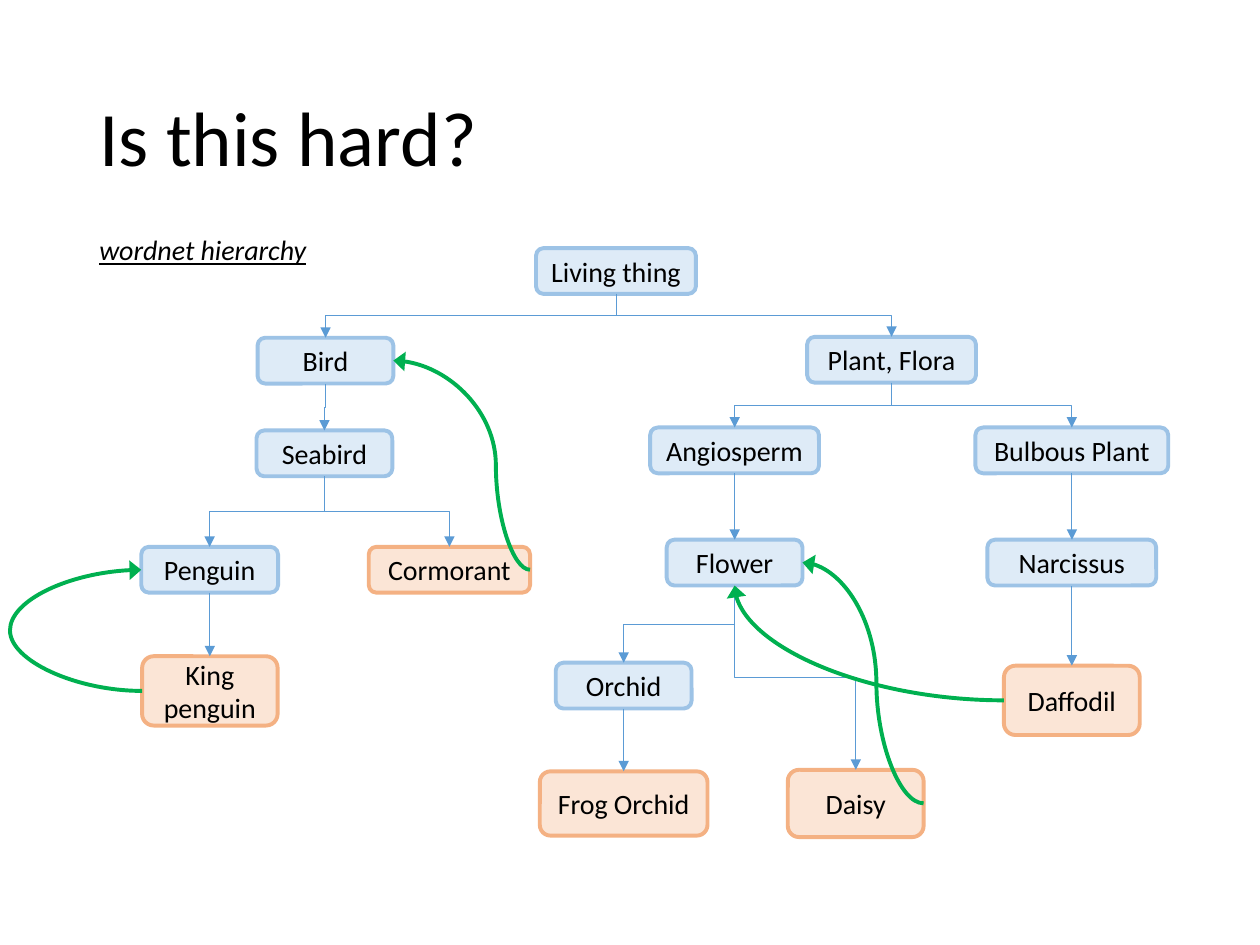
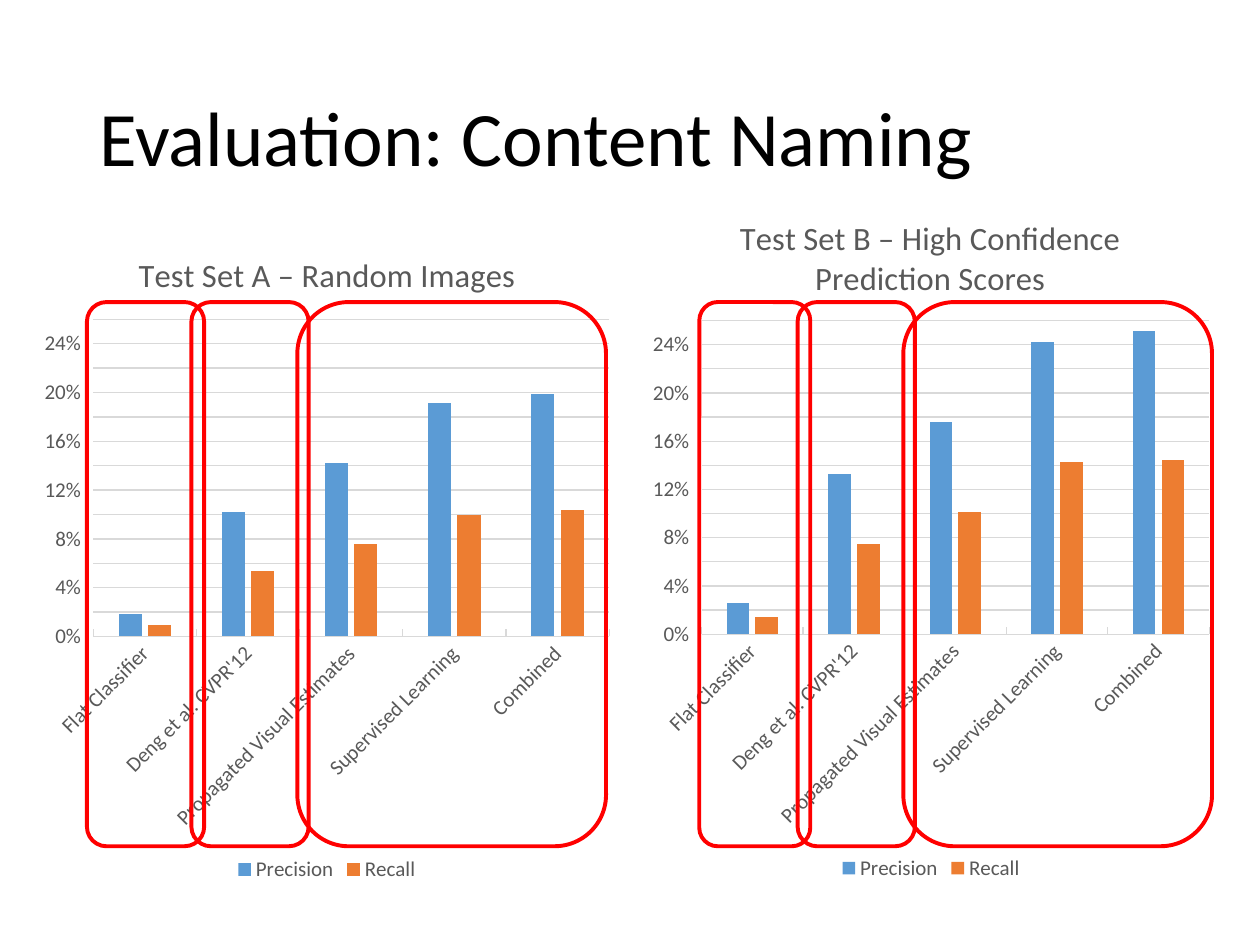
"""Build two slides: a word hierarchy tree and a pair of evaluation charts."""
from lxml import etree
from pptx import Presentation
from pptx.chart.data import CategoryChartData
from pptx.dml.color import RGBColor
from pptx.enum import chart as ch, shapes, text
from pptx.oxml.ns import qn
from pptx.util import Pt

FONT = "Calibri"
BLACK = RGBColor(0x00, 0x00, 0x00)
GREY = RGBColor(0x59, 0x59, 0x59)
GRID = RGBColor(0xD9, 0xD9, 0xD9)
BLUE = RGBColor(0x5B, 0x9B, 0xD5)
ORANGE = RGBColor(0xED, 0x7D, 0x31)
GREEN = RGBColor(0x00, 0xB0, 0x50)
RED = RGBColor(0xFF, 0x00, 0x00)
BRANCH = (RGBColor(0xDE, 0xEB, 0xF7), RGBColor(0x9D, 0xC3, 0xE6))
LEAF = (RGBColor(0xFB, 0xE5, 0xD6), RGBColor(0xF4, 0xB1, 0x83))

TREE_TITLE = "Is this hard?"
TREE_NOTE = "wordnet hierarchy"
ROW = 26.2
# name: centre x, top, width, height, colours
NODES = {
    "Living thing": (352, 141.8, 91.4, ROW, BRANCH),
    "Bird": (186, 193, 77.6, ROW, BRANCH),
    "Plant, Flora": (509.5, 192.5, 96.5, ROW, BRANCH),
    "Seabird": (185.4, 246, 77.6, ROW, BRANCH),
    "Angiosperm": (419.8, 244.3, 96.5, ROW, BRANCH),
    "Bulbous Plant": (612.5, 244.3, 110.2, ROW, BRANCH),
    "Penguin": (119.8, 312.5, 78.2, ROW, BRANCH),
    "Cormorant": (256.8, 312.5, 92.2, ROW, LEAF),
    "Flower": (419.8, 308.4, 77.6, ROW, BRANCH),
    "Narcissus": (612.5, 308.4, 96.5, ROW, BRANCH),
    "King penguin": (119.9, 375, 77.4, 39.6, LEAF),
    "Orchid": (356.4, 378.7, 77.6, ROW, BRANCH),
    "Daffodil": (612.5, 380.4, 77.6, 39.6, LEAF),
    "Frog Orchid": (356.4, 440.8, 95.8, 36.7, LEAF),
    "Daisy": (489, 439.9, 77.6, 38.4, LEAF),
}
CHILDREN = {
    "Living thing": ["Bird", "Plant, Flora"],
    "Bird": ["Seabird"],
    "Seabird": ["Penguin", "Cormorant"],
    "Penguin": ["King penguin"],
    "Plant, Flora": ["Angiosperm", "Bulbous Plant"],
    "Angiosperm": ["Flower"],
    "Flower": ["Orchid", "Daisy"],
    "Orchid": ["Frog Orchid"],
    "Bulbous Plant": ["Narcissus"],
    "Narcissus": ["Daffodil"],
}
# from, side, to, side, turn, bend
SHORTCUTS = [
    ("Cormorant", "right", "Bird", "right", 0, 0.25),
    ("King penguin", "left", "Penguin", "left", 180, 148),
    ("Daisy", "right", "Flower", "right", 0, 0.39),
    ("Daffodil", "left", "Flower", "bottom", 180, None),
]

CHART_TITLE = "Evaluation: Content Naming"
METHODS = ["Flat Classifier", "Deng et al. CVPR'12", "Propagated Visual Estimates",
           "Supervised Learning", "Combined"]
CHARTS = [
    {"title": "Test Set A – Random Images", "frame": (18.7, 133.2, 336.2, 373.7),
     "title_at": (0.17, 0.02), "plot_at": (0.103, 0.132, 0.877, 0.485),
     "Precision": [0.018, 0.102, 0.142, 0.191, 0.199],
     "Recall": [0.009, 0.054, 0.076, 0.1, 0.104],
     "marks": [(49.7, 67), (109.4, 67), (169.9, 176.4)]},
    {"title": "Test Set B – High Confidence Prediction Scores",
     "frame": (366.5, 109.4, 331.2, 396.7),
     "title_at": (0.16, 0.025), "plot_at": (0.104, 0.186, 0.876, 0.452),
     "Precision": [0.026, 0.133, 0.176, 0.242, 0.251],
     "Recall": [0.014, 0.075, 0.101, 0.143, 0.144],
     "marks": [(399.6, 63.4), (455.8, 67), (516.2, 176.4)]},
]
MARK_TOP, MARK_HEIGHT = 172.6, 311


def style_font(font, size, color, italic=False, underline=False):
    """Set name, size, colour and emphasis of a font."""
    font.name, font.size, font.color.rgb = FONT, Pt(size), color
    font.bold, font.italic, font.underline = False, italic, underline


def write(box, words, size=16, align=text.PP_ALIGN.LEFT, wrap=True, spacing=1.0,
          anchor=text.MSO_ANCHOR.MIDDLE, **emphasis):
    """Put one formatted paragraph in a shape."""
    frame = box.text_frame
    frame.word_wrap, frame.vertical_anchor = wrap, anchor
    para = frame.paragraphs[0]
    para.alignment, para.line_spacing = align, spacing
    span = para.add_run()
    span.text = words
    style_font(span.font, size, BLACK, **emphasis)


def add_page(deck, title, width):
    """Add a blank page with its title."""
    page = deck.slides.add_slide(deck.slide_layouts[6])
    box = page.shapes.add_textbox(Pt(49.7), Pt(28.8), Pt(width), Pt(104.4))
    write(box, title, size=44, spacing=0.9)
    return page


def add_round_box(page, left, top, width, height, line, fill=None):
    """Add a rounded rectangle, hollow unless a fill is given."""
    box = page.shapes.add_shape(shapes.MSO_SHAPE.ROUNDED_RECTANGLE,
                                Pt(left), Pt(top), Pt(width), Pt(height))
    box.shadow.inherit = False
    box.line.color.rgb, box.line.width = line, Pt(2.25)
    if fill is None:
        box.fill.background()
    else:
        box.fill.solid()
        box.fill.fore_color.rgb = fill
    return box


def add_arrow(page, kind, begin, end, color, weight, turn=0, head="med"):
    """Add a connector with a triangle head and return its XML properties."""
    arrow = page.shapes.add_connector(kind, *(Pt(value) for value in (*begin, *end)))
    arrow.line.color.rgb, arrow.line.width = color, Pt(weight)
    props = arrow._element.spPr
    etree.SubElement(props.find(qn("a:ln")), qn("a:tailEnd"), type="triangle", w=head)
    etree.SubElement(props, qn("a:effectLst"))
    if turn:
        props.find(qn("a:xfrm")).set("rot", str(turn * 60000))
    return props


def anchor_point(name, side):
    """Return the middle of one side of a node."""
    center, top, width, height, _ = NODES[name]
    return {"top": (center, top), "bottom": (center, top + height),
            "left": (center - width / 2, top + height / 2),
            "right": (center + width / 2, top + height / 2)}[side]


def add_branch(page, parent, child):
    """Join a parent to a child with an elbow that leaves downwards."""
    x1, y1 = anchor_point(parent, "bottom")
    x2, y2 = anchor_point(child, "top")
    mid_x, mid_y = (x1 + x2) / 2, (y1 + y2) / 2
    half_width, half_height = (y2 - y1) / 2, abs(x2 - x1) / 2
    turn = 90
    if x2 > x1:
        turn, half_width = 270, -half_width
    add_arrow(page, shapes.MSO_CONNECTOR.ELBOW,
              (mid_x - half_width, mid_y - half_height),
              (mid_x + half_width, mid_y + half_height), BLUE, 0.5, turn)


def add_shortcut(page, source, source_side, target, target_side, turn, bend):
    """Draw a green curve from a leaf to one of its ancestors."""
    ends = [anchor_point(source, source_side), anchor_point(target, target_side)]
    if turn:
        ends.reverse()
    props = add_arrow(page, shapes.MSO_CONNECTOR.CURVE, *ends, GREEN, 2.25, turn, "lg")
    shape = props.find(qn("a:prstGeom"))
    if bend is None:
        shape.set("prst", "curvedConnector2")
    else:
        etree.SubElement(shape.find(qn("a:avLst")), qn("a:gd"),
                         name="adj1", fmla=f"val {round(bend * 100000)}")


def set_layout(element, index, fractions, inner=False):
    """Fix the place of a chart part, in fractions of the chart."""
    for old in element.findall(qn("c:layout")):
        element.remove(old)
    layout = etree.Element(qn("c:layout"))
    element.insert(index, layout)
    manual = etree.SubElement(layout, qn("c:manualLayout"))
    if inner:
        etree.SubElement(manual, qn("c:layoutTarget"), val="inner")
    for key in ("xMode", "yMode"):
        etree.SubElement(manual, qn("c:" + key), val="edge")
    for key, value in zip("xywh", fractions):
        etree.SubElement(manual, qn("c:" + key), val=str(value))


def add_score_chart(page, item):
    """Add one precision and recall chart."""
    data = CategoryChartData(number_format="0%")
    data.categories = METHODS
    for name in ("Precision", "Recall"):
        data.add_series(name, item[name])
    chart = page.shapes.add_chart(ch.XL_CHART_TYPE.COLUMN_CLUSTERED,
                                  *(Pt(value) for value in item["frame"]), data).chart
    style_font(chart.font, 10, BLACK)
    chart.has_title = True
    title = chart.chart_title
    title.include_in_layout = False
    title.text_frame.text = item["title"]
    style_font(title.text_frame.paragraphs[0].runs[0].font, 18.6, GREY)
    set_layout(title._element, 1, item["title_at"])
    set_layout(chart._chartSpace.chart.plotArea, 0, item["plot_at"], inner=True)

    chart.has_legend = True
    chart.legend.position = ch.XL_LEGEND_POSITION.BOTTOM
    chart.legend.include_in_layout = False
    style_font(chart.legend.font, 12, GREY)

    plot = chart.plots[0]
    plot.gap_width, plot.overlap, plot.vary_by_categories = 219, -27, False
    for series, color in zip(plot.series, (BLUE, ORANGE)):
        series.format.fill.solid()
        series.format.fill.fore_color.rgb = color

    methods, scores = chart.category_axis, chart.value_axis
    for axis in (methods, scores):
        style_font(axis.tick_labels.font, 12, GREY)
    methods.major_tick_mark = ch.XL_TICK_MARK.INSIDE
    methods._element.find(qn("c:txPr")).find(qn("a:bodyPr")).set("rot", "-2700000")
    scores.minimum_scale, scores.maximum_scale, scores.major_unit = 0, 0.26, 0.02
    scores.tick_labels.number_format = "0%"
    scores.tick_labels.number_format_is_linked = False
    scores.format.line.fill.background()
    scores.has_major_gridlines = True
    for line in (methods.format.line, scores.major_gridlines.format.line):
        line.color.rgb, line.width = GRID, Pt(0.75)


def build_tree(deck):
    """Build the hierarchy page."""
    page = add_page(deck, TREE_TITLE, 620.6)
    for name, (center, top, width, height, (fill, line)) in NODES.items():
        box = add_round_box(page, center - width / 2, top, width, height, line, fill)
        write(box, name, align=text.PP_ALIGN.CENTER)
    for parent, children in CHILDREN.items():
        for child in children:
            add_branch(page, parent, child)
    for shortcut in SHORTCUTS:
        add_shortcut(page, *shortcut)
    note = page.shapes.add_textbox(Pt(49.7), Pt(129.6), Pt(134.6), Pt(26.6))
    write(note, TREE_NOTE, wrap=False, anchor=text.MSO_ANCHOR.TOP,
          italic=True, underline=True)


def build_evaluation(deck):
    """Build the chart page."""
    page = add_page(deck, CHART_TITLE, 648)
    for item in CHARTS:
        add_score_chart(page, item)
    for item in CHARTS:
        for left, width in item["marks"]:
            add_round_box(page, left, MARK_TOP, width, MARK_HEIGHT, RED)


def main():
    """Build and save the deck."""
    deck = Presentation()
    deck.slide_width, deck.slide_height = Pt(720), Pt(540)
    build_tree(deck)
    build_evaluation(deck)
    deck.save("out.pptx")


if __name__ == "__main__":
    main()
